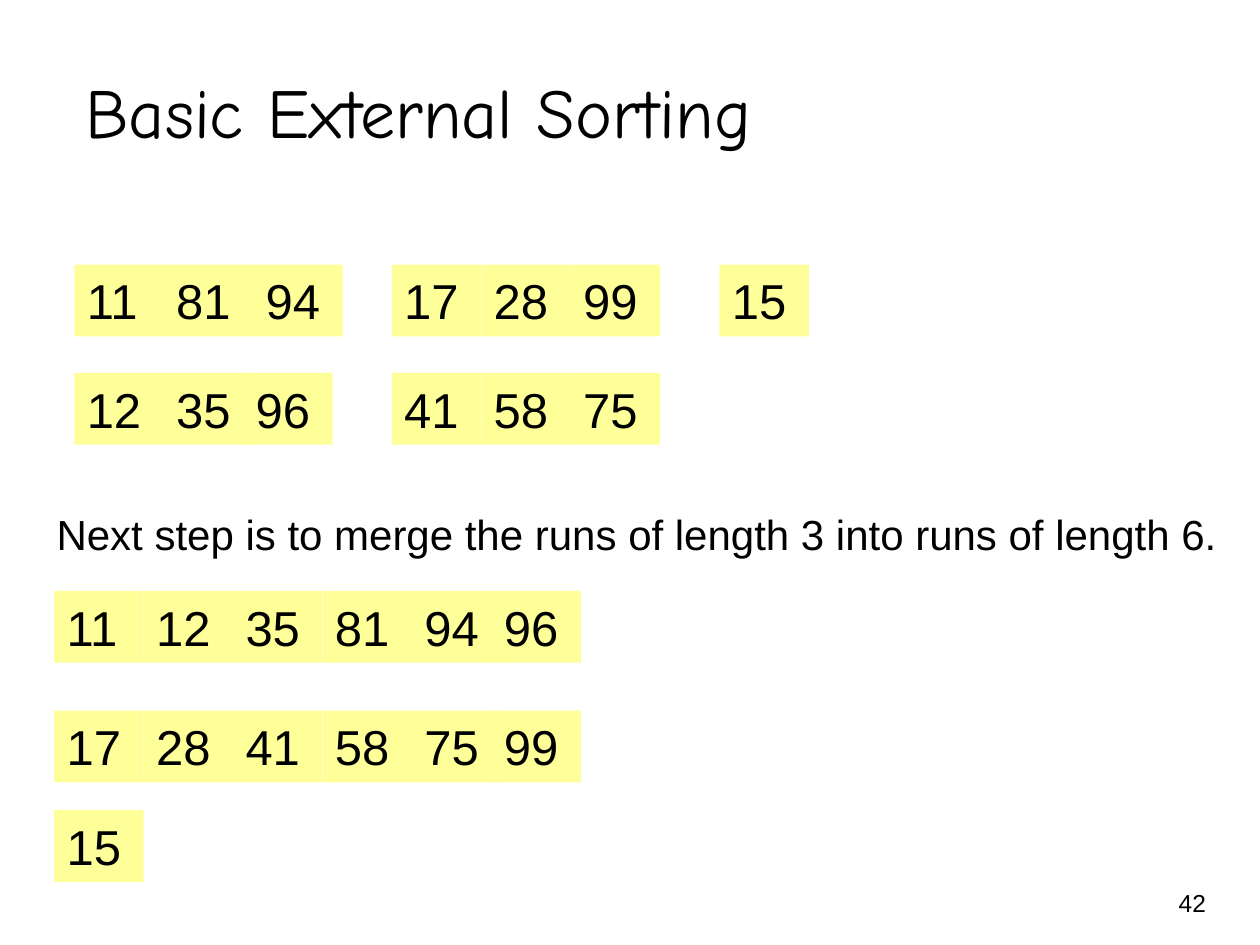
"""Build the slide on merging sorted runs in basic external sorting."""
from pptx import Presentation
from pptx.dml.color import RGBColor
from pptx.enum.shapes import MSO_SHAPE as SHAPE
from pptx.enum.text import MSO_ANCHOR as ANCHOR, PP_ALIGN as ALIGN
from pptx.util import Inches, Pt

BLACK = RGBColor(0x00, 0x00, 0x00)
YELLOW = RGBColor(0xFF, 0xFF, 0x99)
CELL_W, CELL_H = 0.71, 0.57
OVERLAP = 0.08
LEFT_X, MIDDLE_X, RIGHT_X = 0.59, 3.11, 5.71
MERGED_X = 0.43
TOP_Y, SECOND_Y = 2.1, 2.96


def set_text(s, text, size, font="Arial", align=ALIGN.LEFT, anchor=ANCHOR.TOP):
    tf = s.text_frame
    tf.text = text
    tf.word_wrap = True
    tf.vertical_anchor = anchor
    p = tf.paragraphs[0]
    p.alignment = align
    r = p.runs[0]
    r.font.size = Pt(size)
    r.font.name = font
    r.font.color.rgb = BLACK


def add_title(slide, text):
    s = slide.shapes.title
    s.left, s.top = Inches(0.58), Inches(0.25)
    s.width, s.height = Inches(8.5), Inches(1.25)
    set_text(s, text, 40, "Comic Neue", anchor=ANCHOR.MIDDLE)


def add_label(slide, text, x, y, w, h, size, align=ALIGN.LEFT):
    s = slide.shapes.add_textbox(Inches(x), Inches(y), Inches(w), Inches(h))
    set_text(s, text, size, align=align)


def add_cell(shapes, value, x, y):
    s = shapes.add_shape(SHAPE.RECTANGLE, Inches(x), Inches(y),
                         Inches(CELL_W), Inches(CELL_H))
    s.shadow.inherit = False
    s.fill.solid()
    s.fill.fore_color.rgb = YELLOW
    s.line.fill.background()
    set_text(s, str(value), 28)


def add_run(slide, values, x, y, last_shift=0):
    shapes = slide.shapes
    if len(values) > 1:
        shapes = shapes.add_group_shape().shapes
    for i, value in enumerate(values):
        shift = last_shift if i == len(values) - 1 else 0
        add_cell(shapes, value, x + i * CELL_W - shift, y)


def main():
    prs = Presentation()
    prs.slide_width, prs.slide_height = Inches(10), Inches(7.5)
    slide = prs.slides.add_slide(prs.slide_layouts[5])

    add_title(slide, "Basic External Sorting")
    add_label(slide, "42", 8.93, 7, 0.74, 0.5, 14, ALIGN.RIGHT)
    add_label(slide, "Next step is to merge the runs of length 3 into runs of length 6.",
              0.35, 3.99, 9.65, 0.5, 24)

    add_run(slide, [11, 81, 94], LEFT_X, TOP_Y)
    add_run(slide, [17, 28, 99], MIDDLE_X, TOP_Y)
    add_run(slide, [15], RIGHT_X, TOP_Y)
    add_run(slide, [12, 35, 96], LEFT_X, SECOND_Y, OVERLAP)
    add_run(slide, [41, 58, 75], MIDDLE_X, SECOND_Y)

    add_run(slide, [11, 12, 35, 81, 94, 96], MERGED_X, 4.69, OVERLAP)
    add_run(slide, [17, 28, 41, 58, 75, 99], MERGED_X, 5.64, OVERLAP)
    add_run(slide, [15], MERGED_X, 6.43)

    prs.save("out.pptx")


if __name__ == "__main__":
    main()
